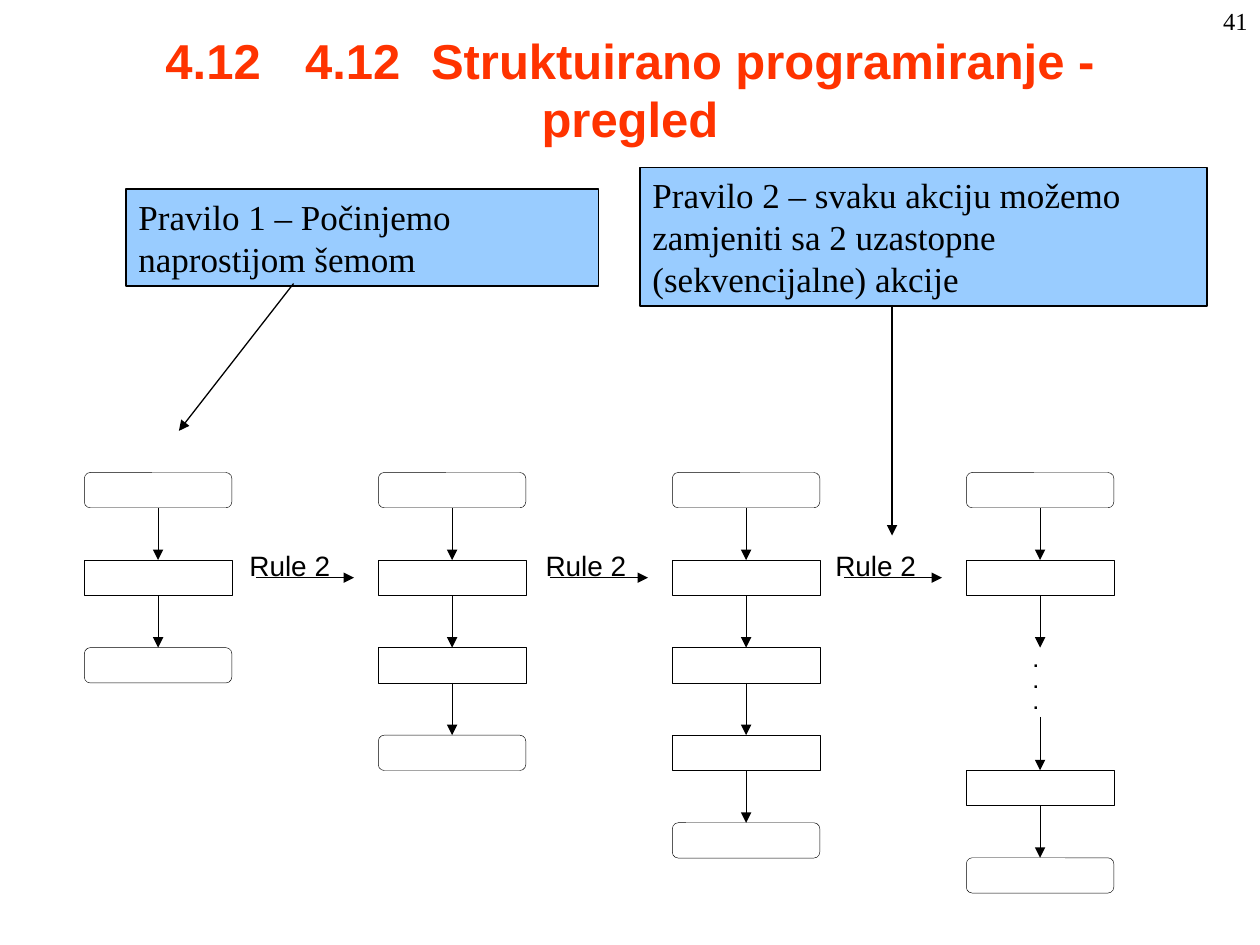
from lxml import etree
from pptx import Presentation
from pptx import util as u
from pptx.dml.color import RGBColor
from pptx.enum import shapes, text
from pptx.oxml.ns import qn

COLORS = {"ink": "000000", "title": "FF3300", "note": "99CCFF"}

# Flowchart grid, in inches
LEFT, TOP = 0.67, 3.75
COL, ROW = 7 / 3, 0.695
BOX_W, BOX_H = 1.17, 0.28
TOP_SITE, BOTTOM_SITE = 0, 2


def col_x(col):
    return LEFT + col * COL


def row_y(row):
    return TOP + row * ROW


def rgb(name):
    return RGBColor.from_string(COLORS[name])


def write(sp, content, font="Arial", size=16, color="ink", bold=False,
          align=text.PP_ALIGN.LEFT, anchor=text.MSO_ANCHOR.TOP,
          inset=(0.1, 0.05), tabs=()):
    """Fill a shape with text, one paragraph for each line."""
    tf = sp.text_frame
    tf.word_wrap = True
    tf.vertical_anchor = anchor
    tf.margin_left = tf.margin_right = u.Inches(inset[0])
    tf.margin_top = tf.margin_bottom = u.Inches(inset[1])
    for i, line in enumerate(content.split("\n")):
        p = tf.add_paragraph() if i else tf.paragraphs[0]
        p.alignment = align
        if tabs:
            stops = etree.SubElement(p._p.get_or_add_pPr(), qn("a:tabLst"))
            for pos in tabs:
                etree.SubElement(stops, qn("a:tab"),
                                 pos=str(u.Inches(pos)), algn="l")
        r = p.add_run()
        r.text = line
        r.font.name, r.font.size, r.font.bold = font, u.Pt(size), bold
        r.font.color.rgb = rgb(color)


def add_text(s, x, y, w, h, content, **fmt):
    sp = s.shapes.add_textbox(*map(u.Inches, (x, y, w, h)))
    write(sp, content, **fmt)
    return sp


def add_box(s, x, y, w, h, rounded=False, fill=None, weight=0.25):
    kind = shapes.MSO_SHAPE.ROUNDED_RECTANGLE if rounded else shapes.MSO_SHAPE.RECTANGLE
    sp = s.shapes.add_shape(kind, *map(u.Inches, (x, y, w, h)))
    sp.shadow.inherit = False
    if fill:
        sp.fill.solid()
        sp.fill.fore_color.rgb = rgb(fill)
    else:
        sp.fill.background()
    sp.line.color.rgb = rgb("ink")
    sp.line.width = u.Pt(weight)
    return sp


def add_arrow(s, start, end, weight=0.25, source=None, target=None):
    """Draw an arrow, joined to the boxes above and below it if given."""
    cx = s.shapes.add_connector(shapes.MSO_CONNECTOR.STRAIGHT,
                                *map(u.Inches, (*start, *end)))
    if source is not None:
        cx.begin_connect(source, BOTTOM_SITE)
    if target is not None:
        cx.end_connect(target, TOP_SITE)
    cx.line.color.rgb = rgb("ink")
    cx.line.width = u.Pt(weight)
    etree.SubElement(cx.line._get_or_add_ln(), qn("a:tailEnd"), type="triangle")
    etree.SubElement(cx._element.spPr, qn("a:effectLst"))
    return cx


def add_chain(s, col, rows, start_round=True, end_round=True):
    """Stack boxes in a column and join each one to the next."""
    x, mid = col_x(col), col_x(col) + BOX_W / 2
    boxes = []
    for i, row in enumerate(rows):
        rounded = (i == 0 and start_round) or (i == len(rows) - 1 and end_round)
        boxes.append(add_box(s, x, row_y(row), BOX_W, BOX_H, rounded))
    for i, (above, below) in enumerate(zip(boxes, boxes[1:])):
        add_arrow(s, (mid, row_y(rows[i]) + BOX_H), (mid, row_y(rows[i + 1])),
                  source=above, target=below)
    return boxes


def add_note(s, x, y, w, h, content, start, end):
    sp = add_box(s, x, y, w, h, fill="note", weight=0.75)
    write(sp, content, font="Times New Roman", size=20)
    add_arrow(s, start, end, weight=0.75)


def main():
    prs = Presentation()
    prs.slide_width, prs.slide_height = u.Inches(10), u.Inches(7.5)
    s = prs.slides.add_slide(prs.slide_layouts[6])

    # Title and page number
    add_text(s, 0.75, 0.08, 8.5, 1.25,
             "4.12\t 4.12\t Struktuirano programiranje - pregled",
             size=28, color="title", bold=True, align=text.PP_ALIGN.CENTER,
             anchor=text.MSO_ANCHOR.MIDDLE, tabs=range(8))
    add_text(s, 7.92, 0, 2.08, 0.5, "41", font="Times New Roman", size=14,
             align=text.PP_ALIGN.RIGHT)

    # Complete flowcharts, each one action longer than the last
    for col in range(3):
        add_chain(s, col, range(col + 3))

    # Last flowchart, with its middle left out
    mid = col_x(3) + BOX_W / 2
    upper = add_chain(s, 3, [0, 1], end_round=False)
    lower = add_chain(s, 3, [3.4, 4.4], start_round=False)
    add_arrow(s, (mid, row_y(1) + BOX_H), (mid, row_y(2)), source=upper[-1])
    add_arrow(s, (mid, 5.69), (mid, row_y(3.4)), target=lower[0])
    add_text(s, 8.18, 5.16, 0.2, 0.6, ".\n.\n.", font="Courier New", size=10,
             bold=True, inset=(0, 0))

    # Rule steps between the flowcharts
    for col, label_x in enumerate((1.98, 4.33, 6.63)):
        x, y = col_x(col) + 1.36, row_y(1) + BOX_H / 2
        add_arrow(s, (x, y), (x + 0.78, y))
        add_text(s, label_x, 4.35, 0.97, 0.19, "Rule 2", inset=(0, 0))

    # Notes on the two rules
    add_note(s, 1, 1.5, 3.75, 0.77, "Pravilo 1 – Počinjemo naprostijom šemom",
             (2.33, 2.25), (1.42, 3.42))
    add_note(s, 5.08, 1.33, 4.5, 1.1,
             "Pravilo 2 – svaku akciju možemo zamjeniti sa 2 uzastopne "
             "(sekvencijalne) akcije", (7.08, 2.42), (7.08, 4.25))

    prs.save("out.pptx")


if __name__ == "__main__":
    main()
